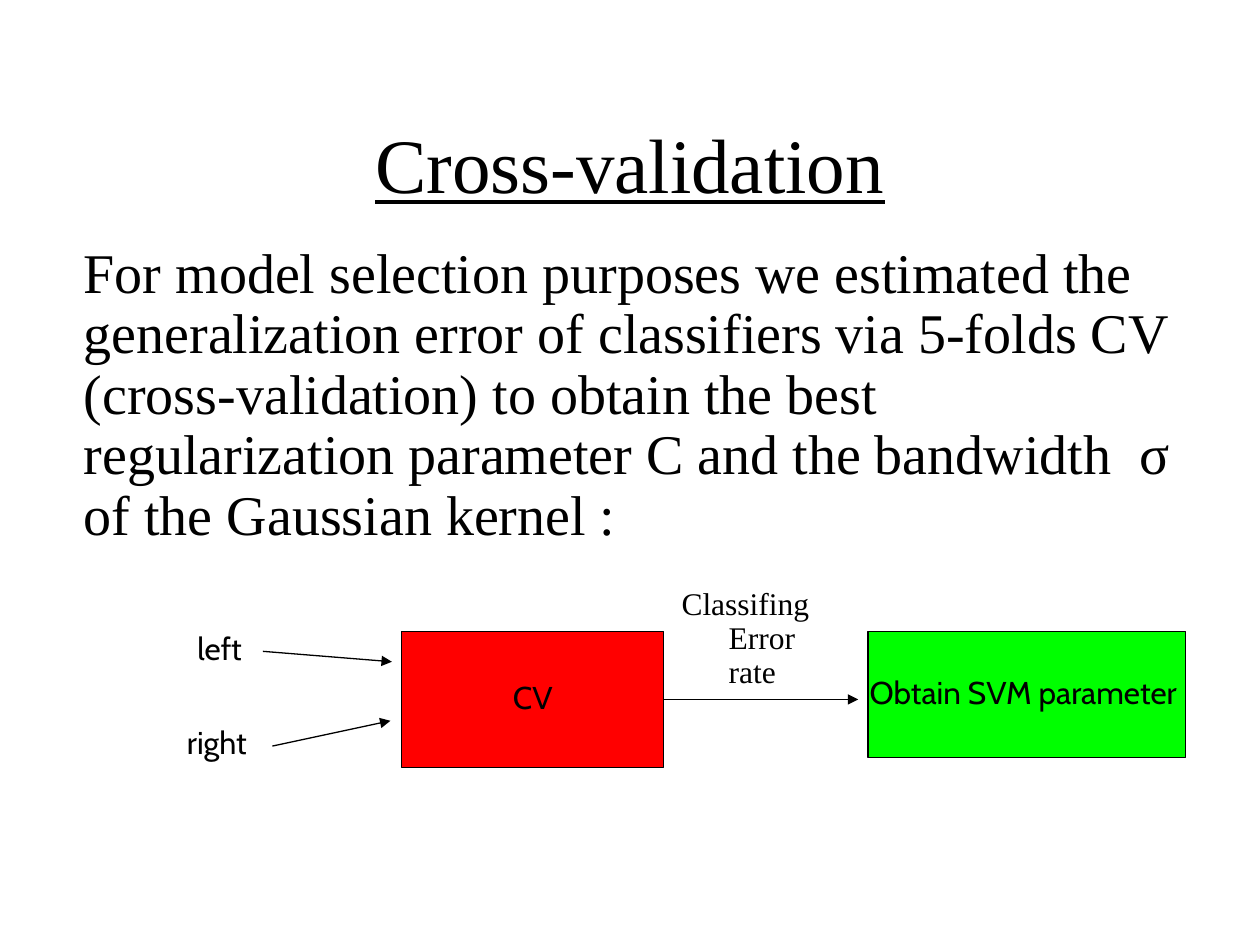
from lxml.etree import SubElement
from pptx import Presentation
from pptx.dml.color import RGBColor
from pptx.enum.shapes import MSO_CONNECTOR, MSO_SHAPE
from pptx.enum.text import MSO_ANCHOR, PP_ALIGN
from pptx.oxml.ns import qn
from pptx.util import Cm, Pt

SERIF, SANS = "Times New Roman", "Cabin"


def paint(target, color):
    target.solid()
    target.fore_color.rgb = RGBColor.from_string(color)


def write(shape, text, size, font, align=PP_ALIGN.LEFT, spacing=0.9,
          anchor=MSO_ANCHOR.TOP, wrap=True):
    """Put one black paragraph in the shape and return it."""
    frame = shape.text_frame
    frame.word_wrap = wrap
    frame.vertical_anchor = anchor
    para = frame.paragraphs[0]
    para.text = text
    para.alignment = align
    para.line_spacing = spacing
    para.font.size = Pt(size)
    para.font.name = font
    paint(para.font.fill, "000000")
    return para


deck = Presentation()
deck.slide_width, deck.slide_height = Cm(25.4), Cm(19.05)
slide = deck.slides.add_slide(deck.slide_layouts[6])
shapes = slide.shapes

# Title and body
title = shapes.add_textbox(Cm(1.9), Cm(1.7), Cm(21.6), Cm(3.18))
para = write(title, "Cross-validation", 44, SERIF, PP_ALIGN.CENTER, 1.0,
             MSO_ANCHOR.MIDDLE)
para.font.underline = True

body = shapes.add_textbox(Cm(1.44), Cm(4.81), Cm(23.06), Cm(6.35))
write(body, "For model selection purposes we estimated the generalization "
      "error of classifiers via 5-folds CV (cross-validation) to obtain the "
      "best regularization parameter C and the bandwidth  σ of the Gaussian "
      "kernel :", 32, SERIF)

# Inputs
for text, left, top, width in (("left", 3.73, 12.65, 1.6),
                               ("right", 3.52, 14.53, 2.2)):
    label = shapes.add_textbox(Cm(left), Cm(top), Cm(width), Cm(0.94))
    write(label, text, 18, SANS)

# Steps
steps = []
for text, left, width, height, color in (
        ("CV", 8.1, 5.28, 2.74, "FF0000"),
        ("Obtain SVM parameter ", 17.5, 6.4, 2.54, "00FF00")):
    step = shapes.add_shape(MSO_SHAPE.RECTANGLE, Cm(left), Cm(12.73),
                            Cm(width), Cm(height))
    step.shadow.inherit = False
    paint(step.fill, color)
    paint(step.line.fill, "000000")
    step.line.width = Pt(0.75)
    write(step, text, 18, SANS, PP_ALIGN.CENTER, anchor=MSO_ANCHOR.MIDDLE,
          wrap=False)
    steps.append(step)

# Arrows
arrows = []
for ends in ((5.3, 13.13, 7.9, 13.34),
             (5.49, 15.04, 7.87, 14.53),
             (13.38, 14.1, 17.3, 14.1)):
    arrow = shapes.add_connector(MSO_CONNECTOR.STRAIGHT, *map(Cm, ends))
    paint(arrow.line.fill, "000000")
    arrow.line.width = Pt(0.75)
    SubElement(arrow.line._get_or_add_ln(), qn("a:tailEnd"), type="triangle")
    SubElement(arrow._element.spPr, qn("a:effectLst"))
    arrows.append(arrow)
arrows[-1].begin_connect(steps[0], 3)

# Error rate, with a hanging indent
rate = shapes.add_textbox(Cm(13.49), Cm(11.73), Cm(3.4), Cm(2.31))
para = write(rate, "Classifing Error rate", 18, SERIF)
props = para._p.get_or_add_pPr()
props.set("marL", str(Cm(0.95)))
props.set("indent", str(Cm(-0.95)))

deck.save("out.pptx")
